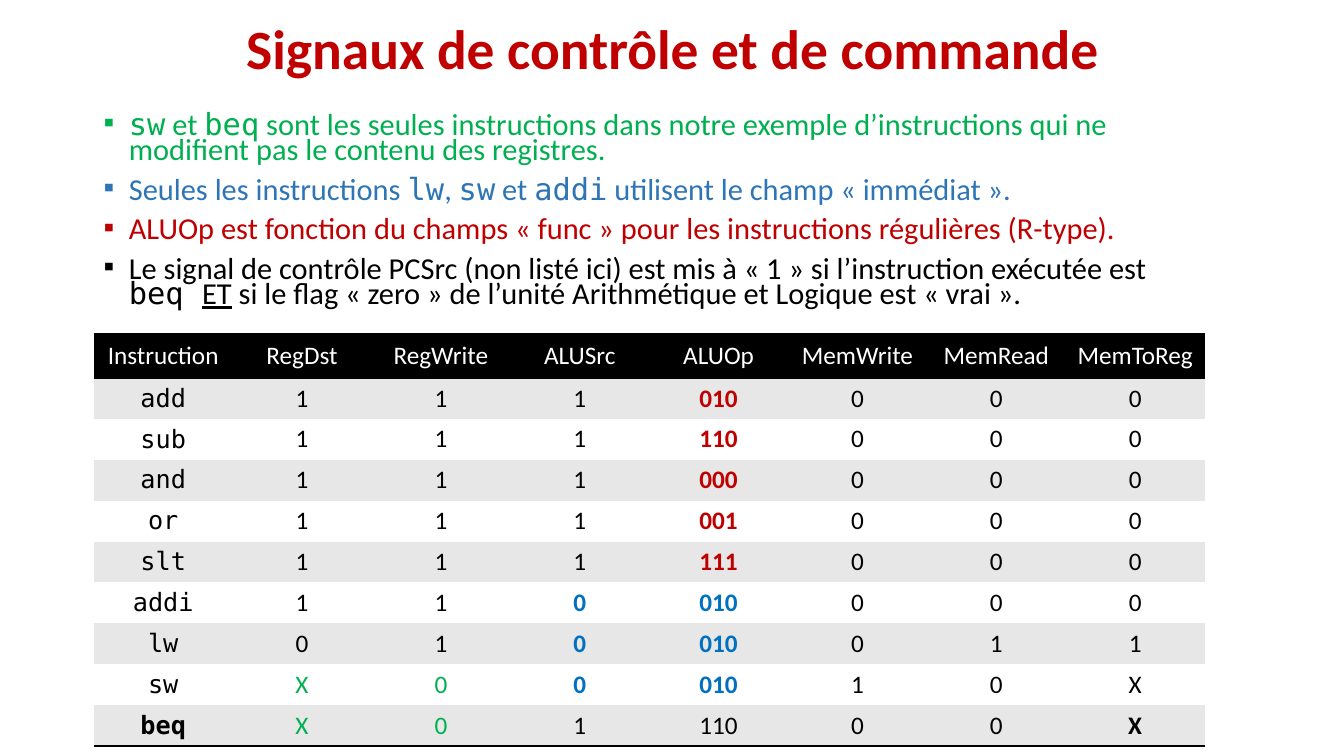
from dataclasses import dataclass

from lxml.etree import SubElement
from pptx import Presentation
from pptx.dml.color import RGBColor as Rgb
from pptx.enum.shapes import MSO_SHAPE as Kind
from pptx.enum.text import MSO_ANCHOR as Anchor, MSO_AUTO_SIZE as Auto, PP_ALIGN as Align
from pptx.oxml import parse_xml
from pptx.oxml.ns import nsdecls, qn
from pptx.util import Inches, Pt


@dataclass(frozen=True)
class Theme:
    """Hold the colours, fonts and type sizes."""
    red: str = "C00000"
    green: str = "00B050"
    blue: str = "2E75B6"
    azure: str = "0070C0"
    black: str = "000000"
    white: str = "FFFFFF"
    grey: str = "E7E7E7"
    sans: str = "Calibri"
    mono: str = "DejaVu Sans Mono"
    title: float = 39.6
    body: float = 21.7
    cell: float = 18


LOOK = Theme()
NO_STYLE = "{2D5ABB26-0587-4C30-8999-92F81FD0307C}"
NOTES = [
    ("`sw` et `beq` sont les seules instructions dans notre exemple "
     "d’instructions qui ne modifient pas le contenu des registres.", LOOK.green),
    ("Seules les instructions `lw`, `sw` et `addi` utilisent le champ « immédiat ».",
     LOOK.blue),
    ("ALUOp est fonction du champs « func » pour les instructions régulières (R-type).",
     LOOK.red),
    ("Le signal de contrôle PCSrc (non listé ici) est mis à « 1 » si l’instruction "
     "exécutée est `beq `_ET_ si le flag « zero » de l’unité Arithmétique et Logique "
     "est « vrai ».", LOOK.black),
]
HEADS = "Instruction RegDst RegWrite ALUSrc ALUOp MemWrite MemRead MemToReg".split()
ROWS = [line.split() for line in (
    "add 1 1 1 010 0 0 0",
    "sub 1 1 1 110 0 0 0",
    "and 1 1 1 000 0 0 0",
    "or 1 1 1 001 0 0 0",
    "slt 1 1 1 111 0 0 0",
    "addi 1 1 0 010 0 0 0",
    "lw 0 1 0 010 0 1 1",
    "sw X 0 0 010 1 0 X",
    "beq X 0 1 110 0 0 X",
)]


def style(font, size, color, face=LOOK.sans, bold=False):
    """Set the size, colour, face and weight of a font."""
    font.size, font.name, font.bold = Pt(size), face, bold
    font.color.rgb = Rgb.from_string(color)


def add_title(slide, text):
    """Place the title and format it."""
    shape = slide.shapes.title
    shape.left, shape.top = Inches(0.92), Inches(0.2)
    shape.width, shape.height = Inches(11.5), Inches(0.62)
    frame = shape.text_frame
    frame.text = text
    frame.auto_size, frame.vertical_anchor = Auto.NONE, Anchor.MIDDLE
    frame.margin_top = frame.margin_bottom = 0
    para = frame.paragraphs[0]
    para.alignment, para.line_spacing = Align.CENTER, 0.9
    style(para.runs[0].font, LOOK.title, LOOK.red, bold=True)


def add_bullet(para):
    """Give a paragraph a square bullet with a hanging indent."""
    props = para._p.get_or_add_pPr()
    props.set("marL", str(Inches(0.25)))
    props.set("indent", str(-Inches(0.25)))
    SubElement(props, qn("a:buFont"), typeface="Arial")
    SubElement(props, qn("a:buChar"), char="▪")


def fill_note(para, text, color):
    """Write a note, with `code` in mono and _words_ underlined."""
    for i, part in enumerate(text.split("`")):
        for j, word in enumerate(part.split("_")):
            if word:
                run = para.add_run()
                run.text = word
                style(run.font, LOOK.body, color, LOOK.mono if i % 2 else LOOK.sans)
                if j % 2:
                    run.font.underline = True


def add_notes(slide, notes):
    """Add the box of bulleted notes."""
    box = slide.shapes.add_shape(Kind.RECTANGLE, Inches(0.93), Inches(1.09),
                                 Inches(11.02), Inches(2.22))
    box.shadow.inherit = False
    box.fill.background()
    box.line.color.rgb = Rgb.from_string(LOOK.white)
    box.line.width = Pt(0.75)
    frame = box.text_frame
    frame.word_wrap, frame.vertical_anchor = True, Anchor.TOP
    for i, (text, color) in enumerate(notes):
        para = frame.add_paragraph() if i else frame.paragraphs[0]
        para.alignment, para.line_spacing = Align.LEFT, 0.7
        para.space_before = Pt(10 if i else 0)
        add_bullet(para)
        fill_note(para, text, color)


def add_edge(cell, side):
    """Draw a black border on one side of a cell."""
    edge = parse_xml(
        f'<a:{side} {nsdecls("a")} w="{Pt(2)}"><a:solidFill>'
        f'<a:srgbClr val="{LOOK.black}"/></a:solidFill></a:{side}>')
    cell._tc.get_or_add_tcPr().insert(0, edge)


def fill_cell(cell, text, back, color, face=LOOK.sans, bold=False):
    """Write and format one table cell."""
    cell.text = text
    cell.vertical_anchor = Anchor.MIDDLE
    cell.fill.solid()
    cell.fill.fore_color.rgb = Rgb.from_string(back)
    para = cell.text_frame.paragraphs[0]
    para.alignment = Align.CENTER
    style(para.runs[0].font, LOOK.cell, color, face, bold)


def pick(name, head):
    """Choose the colour and weight of a value."""
    if name in ("addi", "lw", "sw") and head in ("ALUSrc", "ALUOp"):
        return LOOK.azure, True
    if name in ("sw", "beq") and head in ("RegDst", "RegWrite"):
        return LOOK.green, False
    if name == "beq":
        return LOOK.black, head in ("Instruction", "MemToReg")
    if head == "ALUOp":
        return LOOK.red, True
    return LOOK.black, False


def add_grid(slide, heads, rows):
    """Add the table of control signals."""
    count = len(rows) + 1
    table = slide.shapes.add_table(count, len(heads), Inches(0.93), Inches(3.32),
                                   Inches(11.02), Inches(0.4 * count)).table
    table._tbl.tblPr.find(qn("a:tableStyleId")).text = NO_STYLE
    table.horz_banding = False
    table.rows[0].height = Inches(0.43)
    for j, head in enumerate(heads):
        top = table.cell(0, j)
        fill_cell(top, head, LOOK.black, LOOK.white)
        for i, row in enumerate(rows, 1):
            color, bold = pick(row[0], head)
            fill_cell(table.cell(i, j), row[j], LOOK.grey if i % 2 else LOOK.white,
                      color, LOOK.sans if j else LOOK.mono, bold)
        add_edge(top, "lnB")
        add_edge(top, "lnT")
        add_edge(table.cell(count - 1, j), "lnB")


def main():
    """Build the slide and save it."""
    deck = Presentation()
    deck.slide_width, deck.slide_height = Inches(13.33), Inches(7.5)
    slide = deck.slides.add_slide(deck.slide_layouts[5])
    add_notes(slide, NOTES)
    add_title(slide, "Signaux de contrôle et de commande")
    add_grid(slide, HEADS, ROWS)
    deck.save("out.pptx")


if __name__ == "__main__":
    main()
